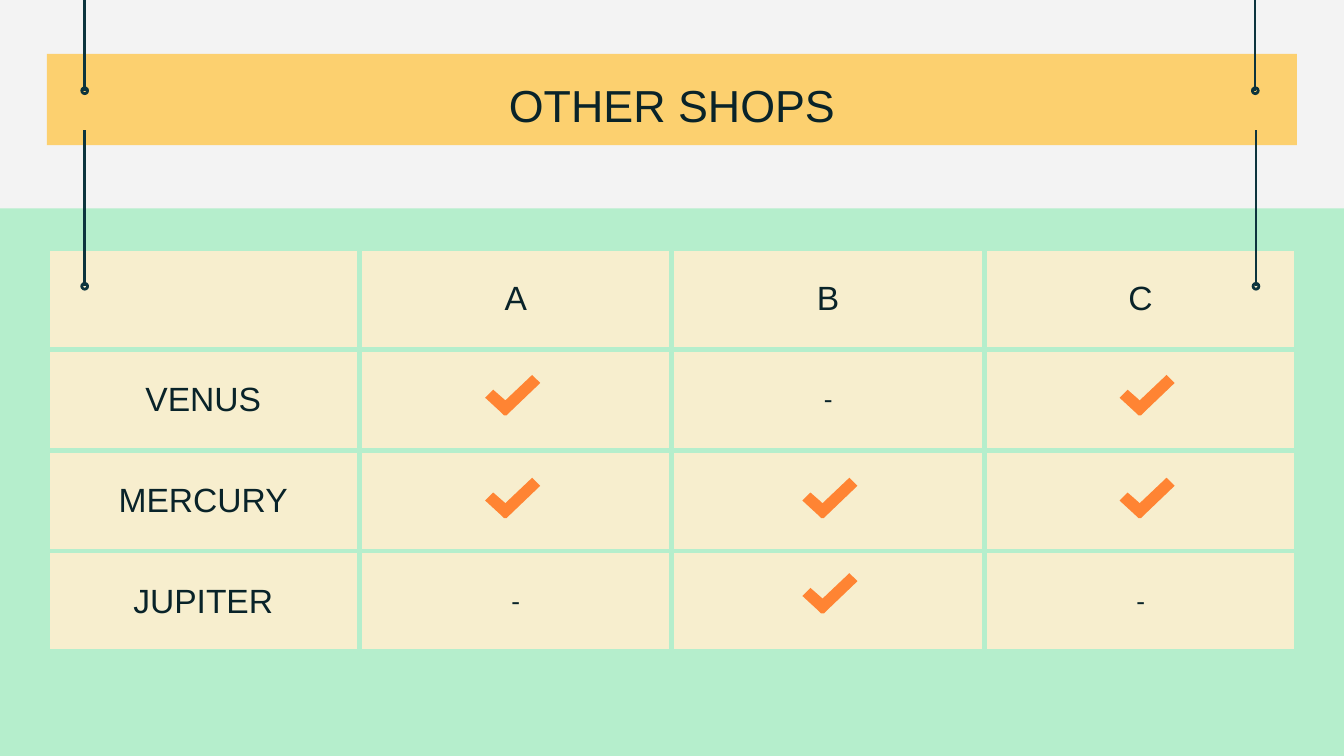
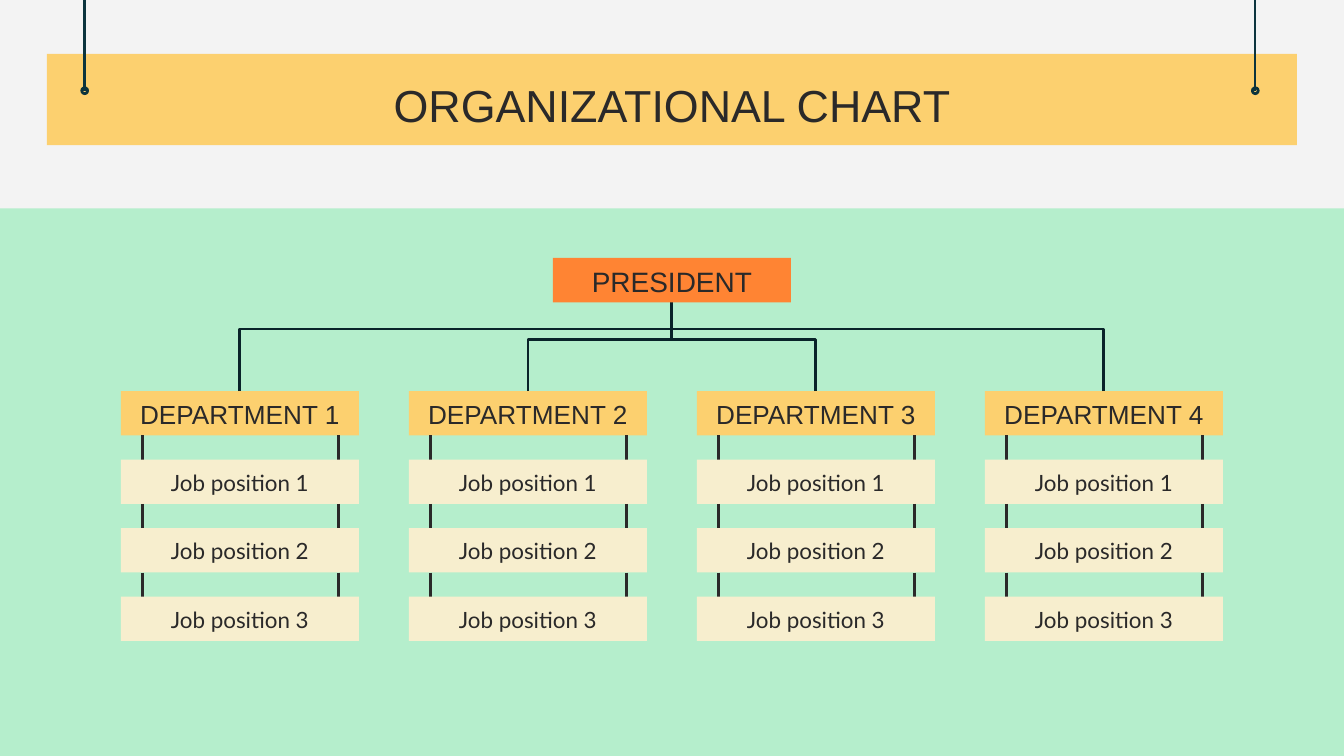
from lxml.etree import SubElement
from pptx import Presentation
from pptx.dml.color import RGBColor
from pptx.enum.shapes import MSO_CONNECTOR, MSO_SHAPE
from pptx.enum.text import MSO_ANCHOR, MSO_AUTO_SIZE, PP_ALIGN
from pptx.oxml.ns import qn
from pptx.util import Inches, Pt

# Grid: 100 columns by 56.25 rows, each unit a tenth of an inch
COLUMNS, ROWS = 100, 56.25
UNIT = Inches(0.1)

PAPER, MINT, YELLOW, CREAM = "F3F3F3", "B5EECC", "FCD06F", "F7EECE"
ORANGE, STRING, NAVY, INK = "FF8433", "0C343D", "092329", "2A2929"

TITLE = {"name": "Arial", "size": Pt(24)}
TABLE_LABEL = {"name": "Arial", "size": Pt(18)}
TABLE_DASH = {"name": "Lato", "size": Pt(14)}
TOP_LABEL = {"name": "Arial", "size": Pt(15)}
DEPARTMENT = {"name": "Arial", "size": Pt(14)}
JOB = {"name": "Lato", "size": Pt(12)}

# Tick outline in tenths of a unit, from its top left corner
TICK = [(35, 0), (16, 18.5), (15, 19), (14, 18.5), (6, 10.7), (0, 17), (12, 28.5),
        (13.5, 29.7), (15, 30), (16.5, 29.7), (18, 28.5), (41, 6.5)]


def colour(hex_text):
    return RGBColor.from_string(hex_text)


def grid(*lengths):
    return [round(length * UNIT) for length in lengths]


def set_values(target, values):
    for name, value in values.items():
        setattr(target, name, value)


def margins(size):
    return {f"margin_{side}": grid(size)[0] for side in ("left", "right", "top", "bottom")}


class Painter:
    """Holds the deck, the shared style and the slide being drawn."""

    def __init__(self):
        self.deck = Presentation()
        self.deck.slide_width, self.deck.slide_height = grid(COLUMNS, ROWS)
        self.layout = self.deck.slide_layouts[5]
        self.page = None

    def new_page(self, title, ink):
        self.page = self.deck.slides.add_slide(self.layout)
        if len(self.deck.slides) == 1:
            self.backdrop()
        box = self.page.shapes.title
        set_values(box, dict(zip(("left", "top", "width", "height"), grid(15, 4.6, 70, 6.3))))
        self.fill_text(box.text_frame, title, TITLE, ink, 1)
        set_values(box.text_frame, {"vertical_anchor": MSO_ANCHOR.MIDDLE,
                                    "auto_size": MSO_AUTO_SIZE.NONE})

    def backdrop(self):
        """Draw the shared parts once and move them to the layout."""
        fill = self.layout.background.fill
        fill.solid()
        fill.fore_color.rgb = colour(PAPER)
        parts = [self.box(0, 15.5, COLUMNS, ROWS - 15.5, MINT),
                 self.box(3.5, 4, 93, 6.8, YELLOW)]
        for x in (6.3, 93.4):
            parts += self.string(x, 0, 6.75)
        tree = self.layout.shapes._spTree
        for part in parts:
            tree.append(part._element)
        for number, item in enumerate(tree.iter(qn("p:cNvPr")), 1):
            item.set("id", str(number))

    def fill_text(self, frame, text, style, ink, margin=0):
        set_values(frame, margins(margin))
        frame.word_wrap = True
        para = frame.paragraphs[0]
        para.alignment = PP_ALIGN.CENTER
        span = para.add_run()
        span.text = text
        set_values(span.font, style)
        span.font.color.rgb = colour(ink)

    def plain(self, shape, fill):
        shape.shadow.inherit = False
        shape.fill.solid()
        shape.fill.fore_color.rgb = colour(fill)
        shape.line.fill.background()
        return shape

    def box(self, left, top, width, height, fill, text=None, style=None):
        place = grid(left, top, width, height)
        shape = self.plain(self.page.shapes.add_shape(MSO_SHAPE.RECTANGLE, *place), fill)
        if text:
            self.fill_text(shape.text_frame, text, style, INK)
            set_values(shape.text_frame, {"vertical_anchor": MSO_ANCHOR.MIDDLE,
                                          "margin_top": Inches(0.01)})
        return shape

    def line(self, start, end, ink, weight=1.5, kind=MSO_CONNECTOR.STRAIGHT):
        link = self.page.shapes.add_connector(kind, *grid(*start, *end))
        link.line.color.rgb = colour(ink)
        link.line.width = Pt(weight)
        SubElement(link._element.spPr, qn("a:effectLst"))
        return link

    def elbow(self, start, end, bend, ink):
        """Join a lower start to an upper end, leaving both vertically."""
        (x1, y1), (x2, y2) = start, end
        middle_x, middle_y = (x1 + x2) / 2, (y1 + y2) / 2
        half_w, half_h = abs(y1 - y2) / 2, abs(x1 - x2) / 2
        link = self.line((middle_x - half_w, middle_y - half_h),
                         (middle_x + half_w, middle_y + half_h), ink, kind=MSO_CONNECTOR.ELBOW)
        properties = link._element.spPr
        frame = properties.find(qn("a:xfrm"))
        frame.set("rot", str((270 if x1 < x2 else 90) * 60000))
        if x1 > x2:
            frame.set("flipH", "1")
        guides = properties.find(qn("a:prstGeom")).find(qn("a:avLst"))
        SubElement(guides, qn("a:gd"), name="adj1", fmla=f"val {round(bend * 100000)}")

    def string(self, x, top, bottom):
        """Hanging string that ends in a small ring."""
        cord = self.line((x, top), (x, bottom), STRING, 1.25)
        size = 0.54
        place = grid(x - size / 2, bottom - size / 2, size, size)
        ring = self.plain(self.page.shapes.add_shape(MSO_SHAPE.DONUT, *place), STRING)
        ring.adjustments[0] = 0.2
        ring.line.color.rgb = colour(STRING)
        ring.line.width = Pt(0.75)
        return [cord, ring]

    def tick(self, left, top):
        builder = self.page.shapes.build_freeform(*TICK[0], scale=UNIT / 10)
        builder.add_line_segments(TICK[1:], close=True)
        self.plain(builder.convert_to_shape(*grid(left, top)), ORANGE)

    def table(self, left, top, width, height, rows):
        place = grid(left, top, width, height)
        table = self.page.shapes.add_table(len(rows), len(rows[0]), *place).table
        set_values(table, {"first_row": False, "horz_banding": False})
        for row, texts in enumerate(rows):
            for column, text in enumerate(texts):
                self.cell(table.cell(row, column), text)

    def cell(self, cell, text):
        for side in ("a:lnL", "a:lnR", "a:lnT", "a:lnB"):
            border = SubElement(cell._tc.get_or_add_tcPr(), qn(side), w=str(int(Pt(3))))
            SubElement(SubElement(border, qn("a:solidFill")), qn("a:srgbClr"), val=MINT)
        cell.fill.solid()
        cell.fill.fore_color.rgb = colour(CREAM)
        set_values(cell, {"vertical_anchor": MSO_ANCHOR.MIDDLE, **margins(1)})
        if text:
            para = cell.text_frame.paragraphs[0]
            para.alignment = PP_ALIGN.CENTER
            span = para.add_run()
            span.text = text
            set_values(span.font, TABLE_DASH if text == "-" else TABLE_LABEL)
            span.font.color.rgb = colour(NAVY)


def draw_shops(painter):
    painter.new_page("OTHER SHOPS", NAVY)

    # Table: an empty text leaves room for a tick
    rows = [("", "A", "B", "C"),
            ("VENUS", "", "-", ""),
            ("MERCURY", "", "", ""),
            ("JUPITER", "-", "", "-")]
    painter.table(3.5, 18.5, 93, 30, rows)

    # Strings from the title band to the table
    for x in (6.3, 93.45):
        painter.string(x, 9.7, 21.3)

    # Ticks
    for texts, top in zip(rows[1:], (27.9, 35.55, 42.65)):
        for column, text in enumerate(texts[1:]):
            if not text:
                painter.tick(36.1 + 23.6 * column, top)


def draw_organization(painter):
    painter.new_page("ORGANIZATIONAL CHART", INK)
    width, height = 17.7, 3.3
    first_left, column_step = 9, 21.43
    first_top, row_step = 29.1, 5.1
    president_top = 19.2
    center = COLUMNS / 2

    # Departments, with their job positions hanging below
    for column in range(4):
        left = first_left + column * column_step
        for row in range(4):
            top = first_top + row * row_step
            if row:
                for x in (left + 1.6, left + 16.2):
                    painter.line((x, top - row_step + height), (x, top), INK)
                painter.box(left, top, width, height, CREAM, f"Job position {row}", JOB)
            else:
                painter.box(left, top, width, height, YELLOW, f"DEPARTMENT {column + 1}", DEPARTMENT)

        # Branch up to the president; the outer pair bends higher
        bend = 0.7 if column in (0, 3) else 0.58
        painter.elbow((left + width / 2, first_top), (center, president_top + height), bend, NAVY)

    painter.box(center - width / 2, president_top, width, height, ORANGE, "PRESIDENT", TOP_LABEL)


def main():
    painter = Painter()
    draw_shops(painter)
    draw_organization(painter)
    painter.deck.save("out.pptx")


if __name__ == "__main__":
    main()
